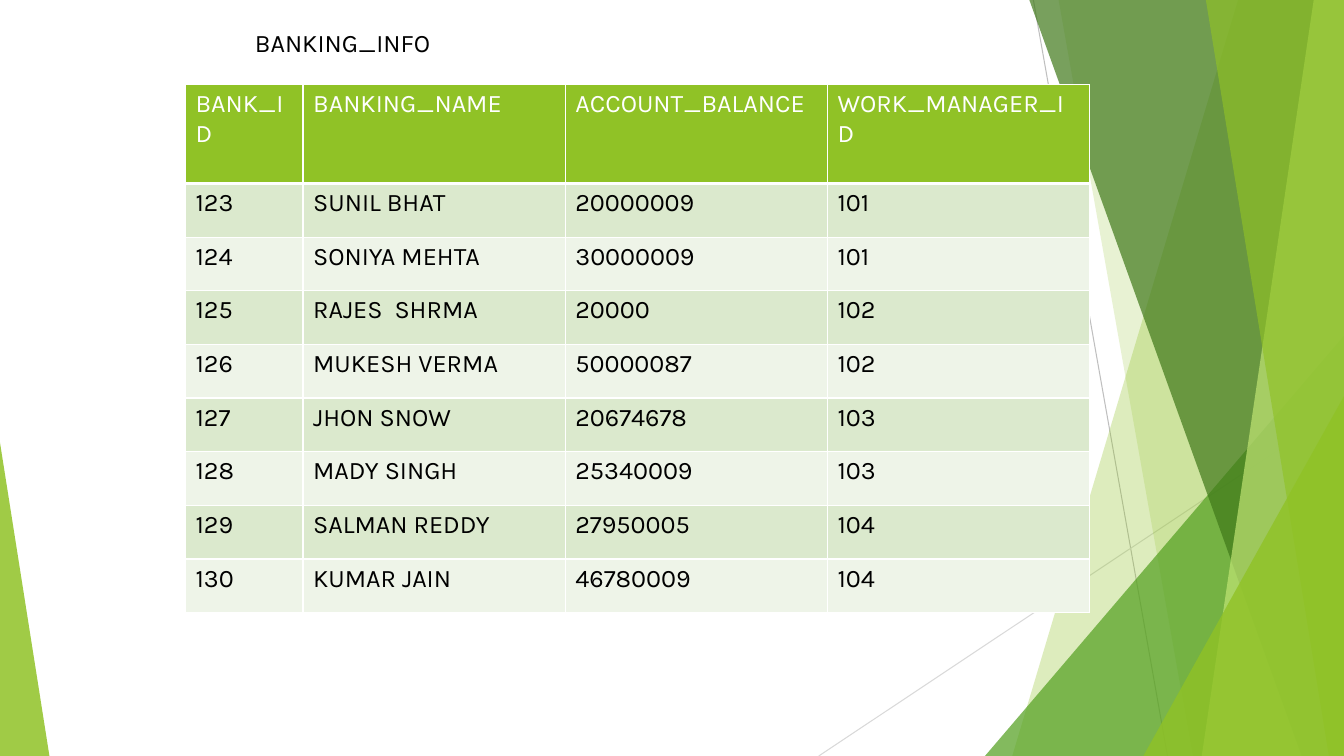
from lxml import etree
from pptx import Presentation
from pptx.dml.color import RGBColor
from pptx.enum.shapes import MSO_CONNECTOR, MSO_SHAPE
from pptx.oxml.ns import qn
from pptx.util import Inches, Pt

LINE = MSO_CONNECTOR.STRAIGHT
WEDGE = MSO_SHAPE.ISOSCELES_TRIANGLE
FONT = "Karla"
HUES = {
    "lime": "90C226", "leaf": "54A021", "moss": "3F7819", "pale": "C0E474",
    "gray": "BFBFBF", "mist": "D9D9D9", "white": "FFFFFF", "black": "000000",
    "odd": "DBE9CD", "even": "EEF4E8",
}
RAYS = [(76.89, 0, 86.87, 100, "gray"), (100, 53.73, 60.92, 100, "mist")]
BANDS = "band"
SPIKE = "spike"
FACETS = [
    (BANDS, (92.12, 75.32), "lime", 30),
    (BANDS, (78.77, 88.75), "lime", 20),
    (SPIKE, (73.29, 100, 44.4, 1), "leaf", 72),
    (BANDS, (76.59, 96.85), "moss", 70),
    (BANDS, (97.75, 89.42), "pale", 70),
    (BANDS, (89.72, 98.87), "lime", 65),
    (SPIKE, (85.07, 100, 52.4, 1), "lime", 80),
    (SPIKE, (0, 3.68, 58.53, 0), "lime", 85),
]
HEAD = ["BANK_ID", "BANKING_NAME", "ACCOUNT_BALANCE", "WORK_MANAGER_ID"]
ROWS = [
    ["123", "SUNIL BHAT", "20000009", "101"],
    ["124", "SONIYA MEHTA", "30000009", "101"],
    ["125", "RAJES  SHRMA", "20000", "102"],
    ["126", "MUKESH VERMA", "50000087", "102"],
    ["127", "JHON SNOW", "20674678", "103"],
    ["128", "MADY SINGH", "25340009", "103"],
    ["129", "SALMAN REDDY", "27950005", "104"],
    ["130", "KUMAR JAIN", "46780009", "104"],
]


def hue(name):
    """Return the named colour."""
    return RGBColor.from_string(HUES[name])


def paint(shape, name, alpha):
    """Fill a shape with a see-through colour and no outline."""
    shape.shadow.inherit = False
    shape.line.fill.background()
    shape.fill.solid()
    shape.fill.fore_color.rgb = hue(name)
    tint = shape.fill._xPr.find(".//" + qn("a:srgbClr"))
    etree.SubElement(tint, qn("a:alpha"), val=str(alpha * 1000))


def style(frame, name):
    """Format the runs of a text frame."""
    for para in frame.paragraphs:
        for run in para.runs:
            run.font.name, run.font.size = FONT, Pt(18)
            run.font.bold = False
            run.font.color.rgb = hue(name)


def edge(cell, low):
    """Draw white borders round a cell, the lower one as wide as asked."""
    props = cell._tc.get_or_add_tcPr()
    for side, wide in zip("LRTB", (1, 1, 1, low)):
        line = etree.SubElement(props, qn("a:ln" + side), w=str(Pt(wide)))
        fill = etree.SubElement(line, qn("a:solidFill"))
        etree.SubElement(fill, qn("a:srgbClr"), val=HUES["white"])


def add_band(slide, box, top, foot):
    """Add a band from a slanted left side to the right edge of the box."""
    left, head, width, height = box
    right, base = left + width, head + height
    start, end = (left + width * share / 100 for share in (top, foot))
    pen = slide.shapes.build_freeform(int(start), int(head))
    pen.add_line_segments([(right, head), (right, base), (int(end), base)])
    return pen.convert_to_shape()


def add_spike(slide, box, start, end, top, lean):
    """Add a right triangle that stands on the foot of the box."""
    left, head, width, height = box
    shape = slide.shapes.add_shape(
        WEDGE, int(left + width * start / 100), int(head + height * top / 100),
        int(width * (end - start) / 100), int(height * (100 - top) / 100))
    shape.adjustments[0] = lean
    return shape


def add_decor(slide, box):
    """Add the thin rays and the green facets."""
    left, head, width, height = box
    for x1, y1, x2, y2, name in RAYS:
        ray = slide.shapes.add_connector(
            LINE, int(left + width * x1 / 100), int(head + height * y1 / 100),
            int(left + width * x2 / 100), int(head + height * y2 / 100))
        ray.line.color.rgb, ray.line.width = hue(name), Pt(0.75)
        etree.SubElement(ray._element.spPr, qn("a:effectLst"))
    makers = {BANDS: add_band, SPIKE: add_spike}
    for kind, spans, name, alpha in FACETS:
        paint(makers[kind](slide, box, *spans), name, alpha)


def add_grid(slide, box):
    """Add the bank table, with a narrow first column and a tall header."""
    left, top, width, height = box
    grid = slide.shapes.add_table(
        len(ROWS) + 1, len(HEAD), left, top, width, height).table
    for col, share in zip(grid.columns, (13, 29, 29, 29)):
        col.width = int(width * share / 100)
    tall = Inches(0.98)
    for num, (row, words) in enumerate(zip(grid.rows, [HEAD] + ROWS)):
        row.height = int((height - tall) / len(ROWS)) if num else tall
        back = ("odd" if num % 2 else "even") if num else "lime"
        for cell, word in zip(row.cells, words):
            edge(cell, 1 if num else 3)
            cell.fill.solid()
            cell.fill.fore_color.rgb = hue(back)
            cell.text_frame.text = word
            style(cell.text_frame, "black" if num else "white")


def add_title(slide, box):
    """Add the table name."""
    frame = slide.shapes.add_textbox(*box).text_frame
    frame.word_wrap = True
    frame.text = "BANKING_INFO"
    style(frame, "black")


def main():
    """Build and save the slide."""
    deck = Presentation()
    deck.slide_width, deck.slide_height = Inches(13.33), Inches(7.5)
    slide = deck.slides.add_slide(deck.slide_layouts[6])
    add_decor(slide, (0, 0, deck.slide_width, deck.slide_height))
    add_grid(slide, [Inches(n) for n in (1.84, 0.84, 8.97, 5.24)])
    add_title(slide, [Inches(n) for n in (2.43, 0.22, 5.95, 0.71)])
    deck.save("out.pptx")


if __name__ == "__main__":
    main()
